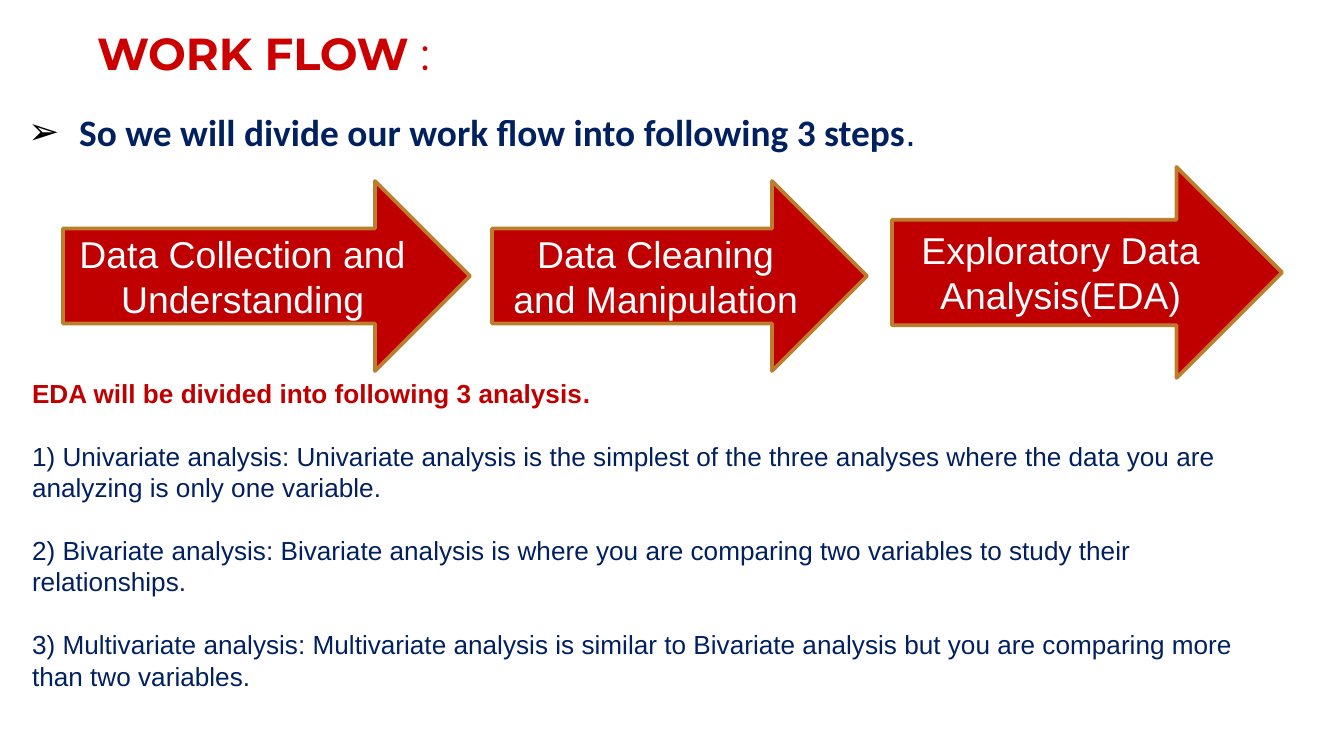
from lxml.etree import SubElement
from pptx import Presentation
from pptx.dml.color import RGBColor
from pptx.enum.shapes import MSO_SHAPE as Shape
from pptx.enum.text import MSO_ANCHOR as Anchor, PP_ALIGN as Align
from pptx.oxml.ns import qn
from pptx.util import Emu, Pt

PX_PER_INCH = 134.4
RED = RGBColor(0xC0, 0x00, 0x00)
BRIGHT_RED = RGBColor(0xCC, 0x00, 0x00)
NAVY = RGBColor(0x00, 0x20, 0x60)
BRONZE = RGBColor(0xBC, 0x7D, 0x2C)
ICE = RGBColor(0xF5, 0xFD, 0xFF)

STEPS = [
    ("Data Collection and Understanding", (63, 181, 407, 190)),
    ("Data Cleaning and Manipulation", (492, 181, 375, 190)),
    ("Exploratory Data Analysis(EDA)", (892, 167, 390, 211)),
]
ANALYSES = [
    "1) Univariate analysis: Univariate analysis is the simplest of the three "
    "analyses where the data you are analyzing is only one variable.",
    "2) Bivariate analysis: Bivariate analysis is where you are comparing two "
    "variables to study their relationships.",
    "3) Multivariate analysis: Multivariate analysis is similar to Bivariate "
    "analysis but you are comparing more than two variables.",
]


def px(length):
    return Emu(round(length * 914400 / PX_PER_INCH))


def add_run(paragraph, text, font_name, size, color, bold=False):
    run = paragraph.add_run()
    run.text = text
    run.font.name = font_name
    run.font.size = Pt(size)
    run.font.color.rgb = color
    run.font.bold = bold


def add_text_frame(slide, box):
    frame = slide.shapes.add_textbox(*map(px, box)).text_frame
    frame.word_wrap = True
    return frame


def set_title(slide):
    title = slide.shapes.title
    title.left, title.top, title.width, title.height = map(px, (39, 19, 449, 105))
    frame = title.text_frame
    frame.vertical_anchor = Anchor.TOP
    heading = frame.paragraphs[0]
    heading.alignment = Align.CENTER
    add_run(heading, "WORK FLOW", "Montserrat", 24, BRIGHT_RED, True)
    add_run(heading, " :", "Montserrat", 24, BRIGHT_RED)


def add_intro(slide):
    intro = add_text_frame(slide, (15, 103, 1314, 60)).paragraphs[0]
    properties = intro._p.get_or_add_pPr()
    properties.set("marL", str(px(51)))
    properties.set("indent", str(-px(51)))
    bullet_color = SubElement(properties, qn("a:buClr"))
    SubElement(bullet_color, qn("a:srgbClr"), val="000000")
    SubElement(properties, qn("a:buFont"), typeface="Arial")
    SubElement(properties, qn("a:buChar"), char="➢")
    add_run(intro, "So we will divide our work flow into following 3 steps",
            "Calibri", 20, NAVY, True)
    add_run(intro, ".", "Arial", 20, NAVY)


def add_step(slide, label, box):
    arrow = slide.shapes.add_shape(Shape.RIGHT_ARROW, *map(px, box))
    arrow.shadow.inherit = False
    arrow.fill.solid()
    arrow.fill.fore_color.rgb = RED
    arrow.line.color.rgb = BRONZE
    arrow.line.width = Pt(2)
    frame = arrow.text_frame
    frame.word_wrap = True
    frame.vertical_anchor = Anchor.MIDDLE
    caption = frame.paragraphs[0]
    caption.alignment = Align.CENTER
    add_run(caption, label, "Arial", 20, ICE)


def add_analyses(slide):
    frame = add_text_frame(slide, (19, 371, 1263, 345))
    frame.margin_left = frame.margin_right = px(13)
    lead = frame.paragraphs[0]
    lead.line_spacing = Pt(16.8)
    add_run(lead, "EDA will be divided into following 3 analysis", "Arial", 14, RED, True)
    add_run(lead, ".", "Arial", 14, BRIGHT_RED, True)
    for analysis in ANALYSES:
        paragraph = frame.add_paragraph()
        paragraph.line_spacing = paragraph.space_before = Pt(16.8)
        add_run(paragraph, analysis, "Arial", 14, NAVY)


def main():
    deck = Presentation()
    deck.slide_width, deck.slide_height = px(1344), px(756)
    slide = deck.slides.add_slide(deck.slide_layouts[5])
    set_title(slide)
    add_intro(slide)
    for label, box in STEPS:
        add_step(slide, label, box)
    add_analyses(slide)
    deck.save("out.pptx")


if __name__ == "__main__":
    main()
